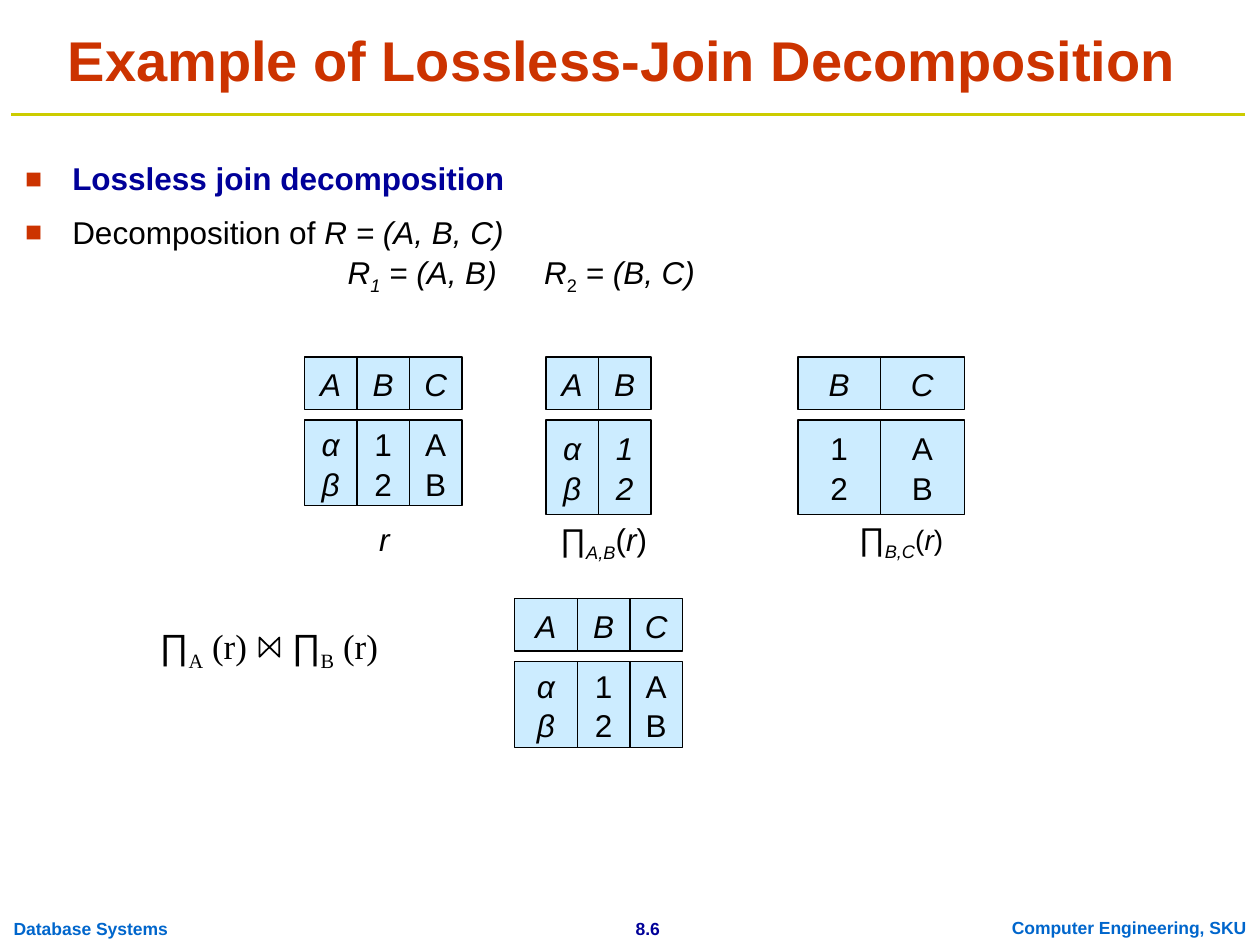
import pptx
import pptx.util
import pptx.dml.color
import pptx.enum.shapes
import pptx.enum.text
import pptx.oxml
import pptx.oxml.ns

Pt = pptx.util.Pt
ALIGN = pptx.enum.text.PP_ALIGN
ANCHOR = pptx.enum.text.MSO_ANCHOR
SANS, SERIF = "Arial", "Times New Roman"
BLACK, NAVY, BLUE, RED = "000000", "000099", "0066CC", "CC3300"
OLIVE, PALE = "CCCC00", "CCECFF"
ITALIC = {"i": True}
SUB = {"sub": True}
ITALIC_SUB = {"i": True, "sub": True}

# Runs are (text, format) pairs.
TITLE = [("Example of Lossless-Join Decomposition", {"size": 32, "color": RED, "b": True})]
BODY = [
    [("Lossless join decomposition", {"color": NAVY, "b": True})],
    [("Decomposition of ", {}), ("R = (A, B, C)\v\tR", ITALIC), ("1", ITALIC_SUB),
     (" = (A, B)\tR", ITALIC), ("2", SUB), (" = (B, C)", ITALIC)],
]
FOOTERS = [  # left, top, width, text, color, alignment
    (334.8, 520.6, 70.6, "8.6", NAVY, ALIGN.CENTER),
    (0.7, 520.6, 102.2, "Database Systems", BLUE, ALIGN.LEFT),
    (571, 519.8, 148.3, "Computer Engineering, SKU", BLUE, ALIGN.CENTER),
]

GREEK, DIGITS, LETTERS = ["α", "β"], ["1", "2"], ["A", "B"]
HEADER_H, ROW_GAP = 30, 6
RELATIONS = [  # left, top, body height, columns of (name, values, values italic, width)
    (174, 204, 49, [("A", GREEK, True, 30), ("B", DIGITS, False, 30), ("C", LETTERS, False, 30)]),
    (312, 204, 54, [("A", GREEK, True, 30), ("B", DIGITS, True, 30)]),
    (456, 204, 54, [("B", DIGITS, False, 47), ("C", LETTERS, False, 48)]),
    (294, 342, 49, [("A", GREEK, True, 36), ("B", DIGITS, False, 30), ("C", LETTERS, False, 30)]),
]


def projection(names, size):
    return [("∏", {}), (names, ITALIC_SUB), ("(", {"size": size}),
            ("r", {"size": size, "i": True}), (")", {"size": size})]


CAPTIONS = [  # left, top, width, height, runs
    (209.5, 293, 20.2, 28.8, [("r", ITALIC)]),
    (293.8, 293, 102.2, 31.7, projection("A,B", 18)),
    (473.8, 292.3, 82, 31.7, projection("B,C", 16)),
]
BIG = {"size": 20}
BIG_SERIF = {"size": 20, "font": SERIF}
BIG_SUB = {"size": 20, "font": SERIF, "sub": True}
JOIN = [("∏", BIG), ("A", BIG_SUB), (" (r)\t", BIG_SERIF),
        ("∏", BIG), ("B", BIG_SUB), (" (r)", BIG_SERIF)]
JOIN_TAB = 75.5
BOWTIE = [(148.3, 364.3), (148.3, 375.3), (159.6, 364.3), (159.6, 375.3)]


def rgb(value):
    return pptx.dml.color.RGBColor.from_string(value)


def add_runs(p, runs):
    for text, fmt in runs:
        for n, part in enumerate(text.split("\v")):
            if n:
                p.add_line_break()
            r = p.add_run()
            r.text = part
            r.font.name = fmt.get("font", SANS)
            r.font.size = Pt(fmt.get("size", 18))
            r.font.bold = fmt.get("b", False)
            r.font.italic = fmt.get("i", False)
            r.font.color.rgb = rgb(fmt.get("color", BLACK))
            if fmt.get("sub"):
                r.font._element.set("baseline", "-25000")


def write(sp, paragraphs, align=ALIGN.CENTER, anchor=ANCHOR.MIDDLE, wrap=True, spacing=1.05):
    tf = sp.text_frame
    tf.word_wrap = wrap
    tf.vertical_anchor = anchor
    for n, runs in enumerate(paragraphs):
        p = tf.add_paragraph() if n else tf.paragraphs[0]
        p.alignment = align
        p.line_spacing = spacing
        add_runs(p, runs)
    return tf


def add_text(slide, box, paragraphs, **options):
    return write(slide.shapes.add_textbox(*map(Pt, box)), paragraphs, **options)


def add_ppr(p, xml):
    """Append tab or bullet elements to the paragraph properties."""
    root = pptx.oxml.parse_xml(f"<a:pPr {pptx.oxml.ns.nsdecls('a')}>{xml}</a:pPr>")
    p._p.get_or_add_pPr().extend(list(root))


def tabs(*stops):
    items = "".join(f'<a:tab pos="{int(Pt(s))}" algn="l"/>' for s in stops)
    return f"<a:tabLst>{items}</a:tabLst>"


def add_cell(slide, box, values, italic):
    sp = slide.shapes.add_shape(pptx.enum.shapes.MSO_SHAPE.RECTANGLE, *map(Pt, box))
    sp.shadow.inherit = False
    sp.fill.solid()
    sp.fill.fore_color.rgb = rgb(PALE)
    sp.line.color.rgb = rgb(BLACK)
    sp.line.width = Pt(0.75)
    write(sp, [[(v, {"i": italic})] for v in values], wrap=False)


def add_relation(slide, left, top, body_h, columns):
    for name, values, italic, width in columns:
        add_cell(slide, (left, top, width, HEADER_H), [name], True)
        add_cell(slide, (left, top + HEADER_H + ROW_GAP, width, body_h), values, italic)
        left += width


def add_rule(slide):
    line = slide.shapes.add_connector(pptx.enum.shapes.MSO_CONNECTOR.STRAIGHT,
                                      Pt(6.5), Pt(65.5), Pt(711.4), Pt(65.5))
    line.line.color.rgb = rgb(OLIVE)
    line.line.width = Pt(2)
    line._element.spPr.append(
        pptx.oxml.parse_xml(f"<a:effectLst {pptx.oxml.ns.nsdecls('a')}/>"))


def add_bowtie(slide):
    start, *rest = [(Pt(x), Pt(y)) for x, y in BOWTIE]
    builder = slide.shapes.build_freeform(*start)
    builder.add_line_segments(rest, close=True)
    sp = builder.convert_to_shape()
    sp.shadow.inherit = False
    sp.fill.background()
    sp.line.color.rgb = rgb(BLACK)
    sp.line.width = Pt(1)


def main():
    prs = pptx.Presentation()
    prs.slide_width, prs.slide_height = Pt(720), Pt(540)
    slide = prs.slides.add_slide(prs.slide_layouts[6])

    add_rule(slide)
    for left, top, width, text, color, align in FOOTERS:
        run = (text, {"size": 10, "color": color, "b": True})
        add_text(slide, (left, top, width, 19.4), [[run]], align=align,
                 anchor=ANCHOR.TOP, wrap=False)

    tf = add_text(slide, (11.5, 20.2, 698.4, 37.4), [TITLE], anchor=ANCHOR.BOTTOM, spacing=1)
    tf.margin_right, tf.margin_bottom = Pt(17.2), Pt(4.4)

    tf = add_text(slide, (7.2, 86.4, 702, 95), BODY, align=ALIGN.LEFT, anchor=ANCHOR.TOP)
    for n, p in enumerate(tf.paragraphs):
        p.space_before = Pt(7.9 if n else 0)
        add_ppr(p, f'<a:buClr><a:srgbClr val="{RED}"/></a:buClr><a:buSzPct val="90000"/>'
                   '<a:buFont typeface="Arial"/><a:buChar char="■"/>' + tabs(184.3, 296.6))
        ppr = p._p.get_or_add_pPr()
        ppr.set("marL", str(int(Pt(27))))
        ppr.set("indent", str(int(Pt(-27))))

    for relation in RELATIONS:
        add_relation(slide, *relation)
    for *box, runs in CAPTIONS:
        add_text(slide, box, [runs], wrap=box[2] > 30)

    tf = add_text(slide, (84.2, 352, 198, 68.4), [JOIN], align=ALIGN.LEFT, anchor=ANCHOR.TOP)
    add_ppr(tf.paragraphs[0], tabs(JOIN_TAB))
    add_bowtie(slide)

    prs.save("out.pptx")


if __name__ == "__main__":
    main()
